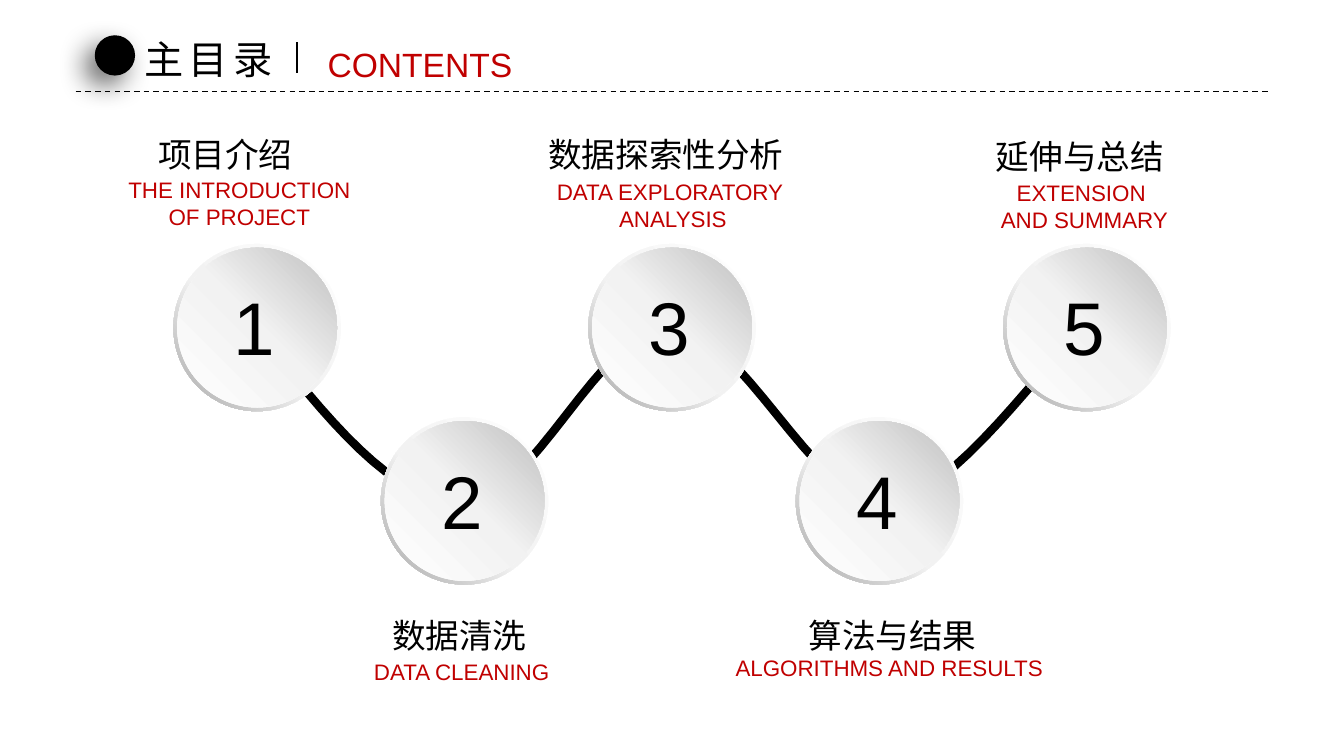
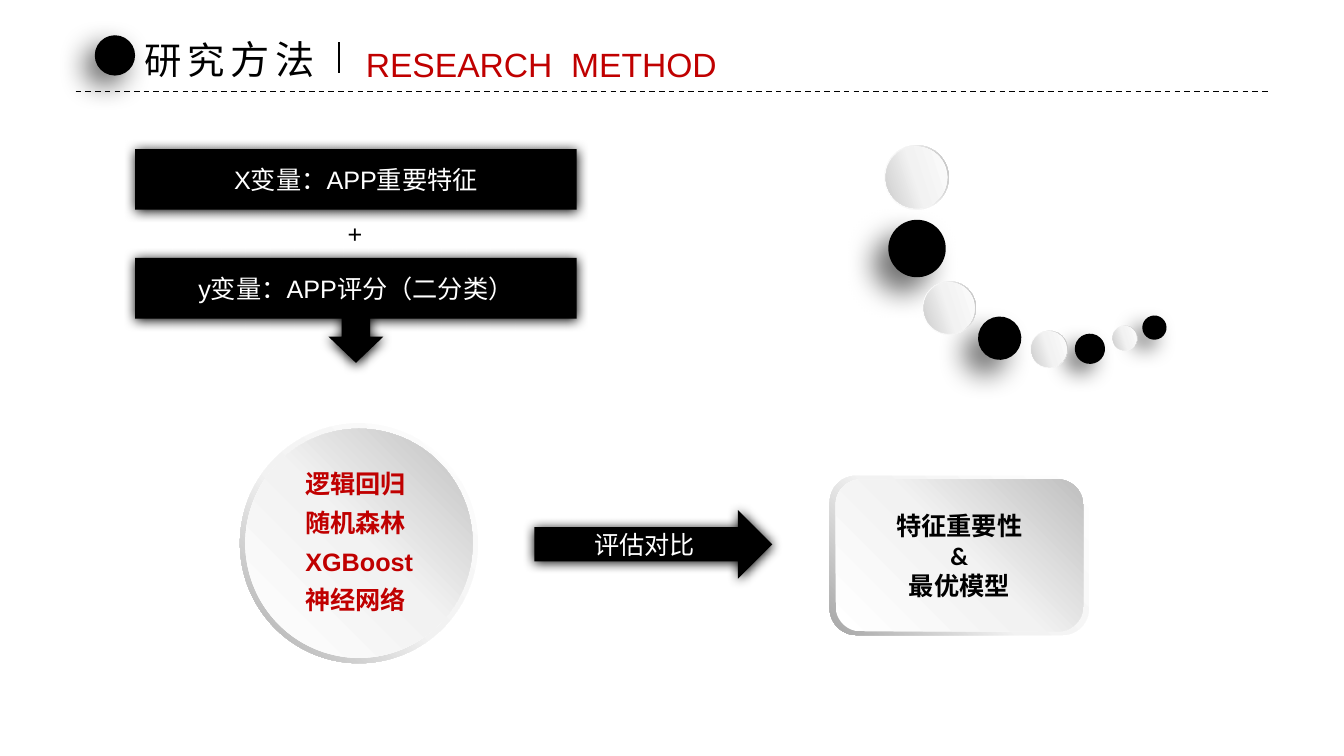
from copy import deepcopy

from lxml.etree import SubElement
from pptx import Presentation
from pptx.dml.color import RGBColor
from pptx.enum.dml import MSO_LINE
from pptx.enum.shapes import MSO_CONNECTOR, MSO_SHAPE
from pptx.enum.text import MSO_ANCHOR, MSO_AUTO_SIZE, PP_ALIGN
from pptx.oxml.ns import qn
from pptx.util import Inches, Pt

BLACK, WHITE, RED = "000000", "FFFFFF", "C00000"
RIM_STOPS = [(0, WHITE), (0.55, "F2F2F2"), (1, "A6A6A6")]
FACE_STOPS = [(0, WHITE), (0.51, "F2F2F2"), (1, "BFBFBF")]
RIM_SHARE = 0.0225

# Shadows: opacity %, blur pt, distance pt, direction in degrees
DOT_SHADOW = (60, 20, 10, 135)
BLOCK_SHADOW = (100, 8.5, 1, 90)
LARGE_BEAD_SHADOW = (54, 20, 15, 135)
SMALL_BEAD_SHADOW = (50, 15, 10, 135)

# Headings: title runs with sizes, title width, divider x, subtitle, its left and width
CONTENTS_HEADING = ([("主目录", 28)], 1.55, 2.95, "CONTENTS", 3.15, 2.05)
METHOD_HEADING = ([("研究", 26.7), ("方法", 28)], 1.96, 3.36,
                  "RESEARCH  METHOD", 3.53, 3.72)

# Chapters: name and its box, English lines and their box, wrapped or not
CHAPTERS = [
    ("项目介绍", (1.47, 1.28, 1.55, 0.5),
     ["THE INTRODUCTION OF PROJECT"], (1.06, 1.7, 2.63, 0.64), True),
    ("数据清洗", (3.79, 6.05, 1.55, 0.5),
     ["DATA CLEANING"], (3.6, 6.48, 1.96, 0.37), False),
    ("数据探索性分析", (5.34, 1.28, 2.56, 0.5),
     ["DATA EXPLORATORY ", "ANALYSIS"], (5.41, 1.72, 2.53, 0.64), False),
    ("算法与结果", (7.92, 6.05, 1.88, 0.5),
     ["ALGORITHMS AND RESULTS"], (7.18, 6.44, 3.28, 0.37), False),
    ("延伸与总结", (9.78, 1.3, 1.88, 0.5),
     ["EXTENSION ", "AND SUMMARY"], (9.55, 1.73, 2.41, 0.64), True),
]
CHAPTER_LEFT, CHAPTER_STEP, CHAPTER_SIZE = 1.72, 2.0575, 1.66
CHAPTER_TOPS = (2.42, 4.14)
WAVE_START = (2.54, 3.26)
WAVE_CURVES = [
    ((3.22, 4.13), (3.91, 5), (4.59, 4.99)),
    ((5.28, 4.99), (5.95, 3.24), (6.65, 3.24)),
    ((7.34, 3.24), (8.07, 4.99), (8.76, 4.99)),
    ((9.45, 4.99), (10.43, 3.46), (10.79, 3.24)),
]

BLOCKS = [
    (MSO_SHAPE.RECTANGLE, (1.34, 1.48, 4.38, 0.6), "X变量：APP重要特征", []),
    (MSO_SHAPE.DOWN_ARROW_CALLOUT, (1.34, 2.56, 4.38, 1.04),
     "y变量：APP评分（二分类）", [0.273, 0.262, 0.25, 0.579]),
    (MSO_SHAPE.RIGHT_ARROW, (5.3, 5.06, 2.36, 0.68), "评估对比", []),
]
MODELS = ["逻辑回归", "随机森林", "XGBoost", "神经网络"]
OUTCOME = ["特征重要性", "&", "最优模型"]

# Beads: left, top, diameter
BLACK_BEADS = [
    (8.81, 2.18, 0.57, LARGE_BEAD_SHADOW), (9.7, 3.14, 0.43, LARGE_BEAD_SHADOW),
    (10.66, 3.31, 0.3, SMALL_BEAD_SHADOW), (11.33, 3.13, 0.24, SMALL_BEAD_SHADOW),
]
PALE_BEADS = [(8.77, 1.44, 0.64), (9.15, 2.79, 0.53),
              (10.22, 3.28, 0.37), (11.03, 3.23, 0.25)]
BEAD_ROTATION = 207


def rgb(color):
    return RGBColor.from_string(color)


def inches(box):
    return [Inches(length) for length in box]


def style_run(run, size, color, font="Arial", bold=False):
    run.font.size = Pt(size)
    run.font.name = font
    run.font.bold = bold
    run.font.color.rgb = rgb(color)
    SubElement(run.font._element, qn("a:ea")).set("typeface", font)


def write(shape, lines, size, color, align=PP_ALIGN.LEFT, anchor=MSO_ANCHOR.TOP,
          wrap=True, font="Arial", bold=False, after=0):
    frame = shape.text_frame
    frame.text = "\n".join(lines)
    frame.word_wrap = wrap
    frame.vertical_anchor = anchor
    for paragraph in frame.paragraphs:
        paragraph.alignment = align
        paragraph.space_after = Pt(after)
        for run in paragraph.runs:
            style_run(run, size, color, font, bold)


def add_label(slide, box, lines, size, color, **style):
    write(slide.shapes.add_textbox(*inches(box)), lines, size, color, **style)


def add_plain(slide, kind, box, rotation=0):
    """Preset shape without outline or shadow."""
    shape = slide.shapes.add_shape(kind, *inches(box))
    shape.line.fill.background()
    shape.shadow.inherit = False
    shape.rotation = rotation
    return shape


def add_black(slide, kind, box, shadow, rotation=0):
    shape = add_plain(slide, kind, box, rotation)
    shape.fill.solid()
    shape.fill.fore_color.rgb = rgb(BLACK)
    opacity, blur, distance, direction = shadow
    outer = SubElement(shape._element.spPr.find(qn("a:effectLst")), qn("a:outerShdw"),
                       blurRad=str(Pt(blur)), dist=str(Pt(distance)),
                       dir=str(direction * 60000), rotWithShape="0")
    tint = SubElement(outer, qn("a:srgbClr"), val=BLACK)
    SubElement(tint, qn("a:alpha"), val=str(opacity * 1000))
    return shape


def fill_gradient(shape, stops, angle):
    shape.fill.gradient()
    shape.fill.gradient_angle = angle
    stop_list = shape._element.spPr.find(qn("a:gradFill")).find(qn("a:gsLst"))
    stop_list.append(deepcopy(stop_list[0]))
    for stop, (position, color) in zip(shape.fill.gradient_stops, stops):
        stop.position = position
        stop.color.rgb = rgb(color)


def add_embossed(slide, box, rim_kind=MSO_SHAPE.DONUT, face_kind=MSO_SHAPE.OVAL,
                 rotation=0):
    """Pale raised button: a rim with a face inset inside it; returns the face."""
    left, top, width, height = box
    rim = add_plain(slide, rim_kind, box, rotation)
    if rim_kind == MSO_SHAPE.DONUT:
        rim.adjustments[0] = 0.049
    fill_gradient(rim, RIM_STOPS, 225)
    face_box = (left + width * RIM_SHARE, top + height * RIM_SHARE,
                width * (1 - 2 * RIM_SHARE), height * (1 - 2 * RIM_SHARE))
    face = add_plain(slide, face_kind, face_box, rotation)
    fill_gradient(face, FACE_STOPS, 45)
    return face


def add_rule(slide, start, end, width, dash=None):
    rule = slide.shapes.add_connector(MSO_CONNECTOR.STRAIGHT, *inches(start + end))
    rule.line.color.rgb = rgb(BLACK)
    rule.line.width = Pt(width)
    if dash:
        rule.line.dash_style = dash
    SubElement(rule._element.spPr, qn("a:effectLst"))


def add_headed_slide(deck, heading):
    title_runs, title_width, divider, subtitle, subtitle_left, subtitle_width = heading
    slide = deck.slides.add_slide(deck.slide_layouts[5])
    add_rule(slide, (0.75, 0.91), (12.58, 0.91), 1, MSO_LINE.DASH)
    add_black(slide, MSO_SHAPE.OVAL, (0.94, 0.35, 0.4, 0.4), DOT_SHADOW)
    title = slide.shapes.title
    title.left, title.top, title.width, title.height = inches((1.33, 0.3, title_width, 0.57))
    frame = title.text_frame
    frame.auto_size = MSO_AUTO_SIZE.NONE
    frame.word_wrap = False
    frame.vertical_anchor = MSO_ANCHOR.TOP
    paragraph = frame.paragraphs[0]
    paragraph.alignment = PP_ALIGN.LEFT
    for words, size in title_runs:
        run = paragraph.add_run()
        run.text = words
        style_run(run, size, BLACK, "Noto Sans CJK SC")
        run.font._element.set("spc", "400")
    add_label(slide, (subtitle_left, 0.39, subtitle_width, 0.5), [subtitle], 24, RED,
              wrap=False)
    add_rule(slide, (divider, 0.42), (divider, 0.72), 1.5)
    return slide


def bezier(start, first, second, end, steps=16):
    for step in range(1, steps + 1):
        t = step / steps
        weights = ((1 - t) ** 3, 3 * t * (1 - t) ** 2, 3 * t * t * (1 - t), t ** 3)
        yield tuple(sum(weight * point[axis] for weight, point
                        in zip(weights, (start, first, second, end)))
                    for axis in (0, 1))


def add_wave(slide):
    points, start = [], WAVE_START
    for curve in WAVE_CURVES:
        points += bezier(start, *curve)
        start = curve[-1]
    builder = slide.shapes.build_freeform(*inches(WAVE_START))
    builder.add_line_segments([inches(point) for point in points], close=False)
    wave = builder.convert_to_shape()
    wave.fill.background()
    wave.line.color.rgb = rgb(BLACK)
    wave.line.width = Pt(6)
    wave.shadow.inherit = False


def build_contents(deck):
    slide = add_headed_slide(deck, CONTENTS_HEADING)
    add_wave(slide)
    for index, (name, name_box, english, english_box, wrap) in enumerate(CHAPTERS):
        left = CHAPTER_LEFT + index * CHAPTER_STEP
        top = CHAPTER_TOPS[index % 2]
        add_embossed(slide, (left, top, CHAPTER_SIZE, CHAPTER_SIZE))
        add_label(slide, (left + 0.5, top + 0.32, 0.62, 1), [str(index + 1)], 53.3,
                  BLACK, wrap=False)
        add_label(slide, name_box, [name], 24, BLACK, wrap=False)
        add_label(slide, english_box, english, 16, RED, align=PP_ALIGN.CENTER, wrap=wrap)


def build_method(deck):
    slide = add_headed_slide(deck, METHOD_HEADING)
    for kind, box, words, adjustments in BLOCKS:
        block = add_black(slide, kind, box, BLOCK_SHADOW)
        for index, value in enumerate(adjustments):
            block.adjustments[index] = value
        write(block, [words], 18, WHITE, PP_ALIGN.CENTER, MSO_ANCHOR.MIDDLE)
    add_label(slide, (3.35, 2.12, 0.48, 0.4), ["+"], 18, BLACK)

    add_embossed(slide, (2.38, 4.2, 2.36, 2.38))
    add_label(slide, (2.93, 4.6, 1.39, 1.58), MODELS, 18, RED, bold=True, after=6)
    outcome = add_embossed(slide, (8.23, 4.72, 2.57, 1.58),
                           MSO_SHAPE.ROUNDED_RECTANGLE, MSO_SHAPE.ROUNDED_RECTANGLE)
    write(outcome, OUTCOME, 18, BLACK, PP_ALIGN.CENTER, MSO_ANCHOR.MIDDLE,
          font="Calibri", bold=True)

    for left, top, size, shadow in BLACK_BEADS:
        add_black(slide, MSO_SHAPE.OVAL, (left, top, size, size), shadow, BEAD_ROTATION)
    for left, top, size in PALE_BEADS:
        add_embossed(slide, (left, top, size, size), rotation=BEAD_ROTATION)


def main():
    deck = Presentation()
    deck.slide_width, deck.slide_height = inches((13.33, 7.5))
    build_contents(deck)
    build_method(deck)
    deck.save("out.pptx")


if __name__ == "__main__":
    main()
